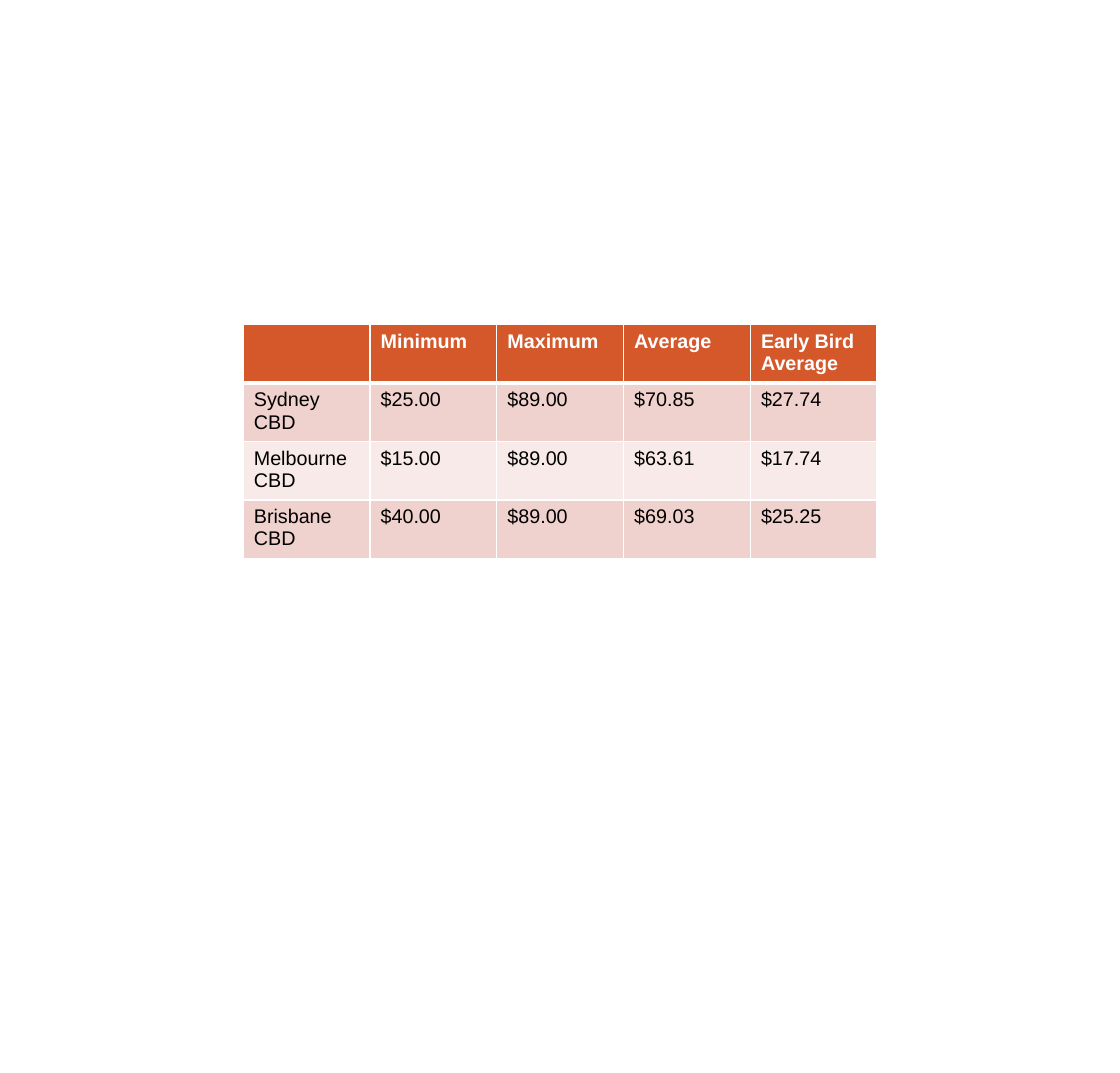
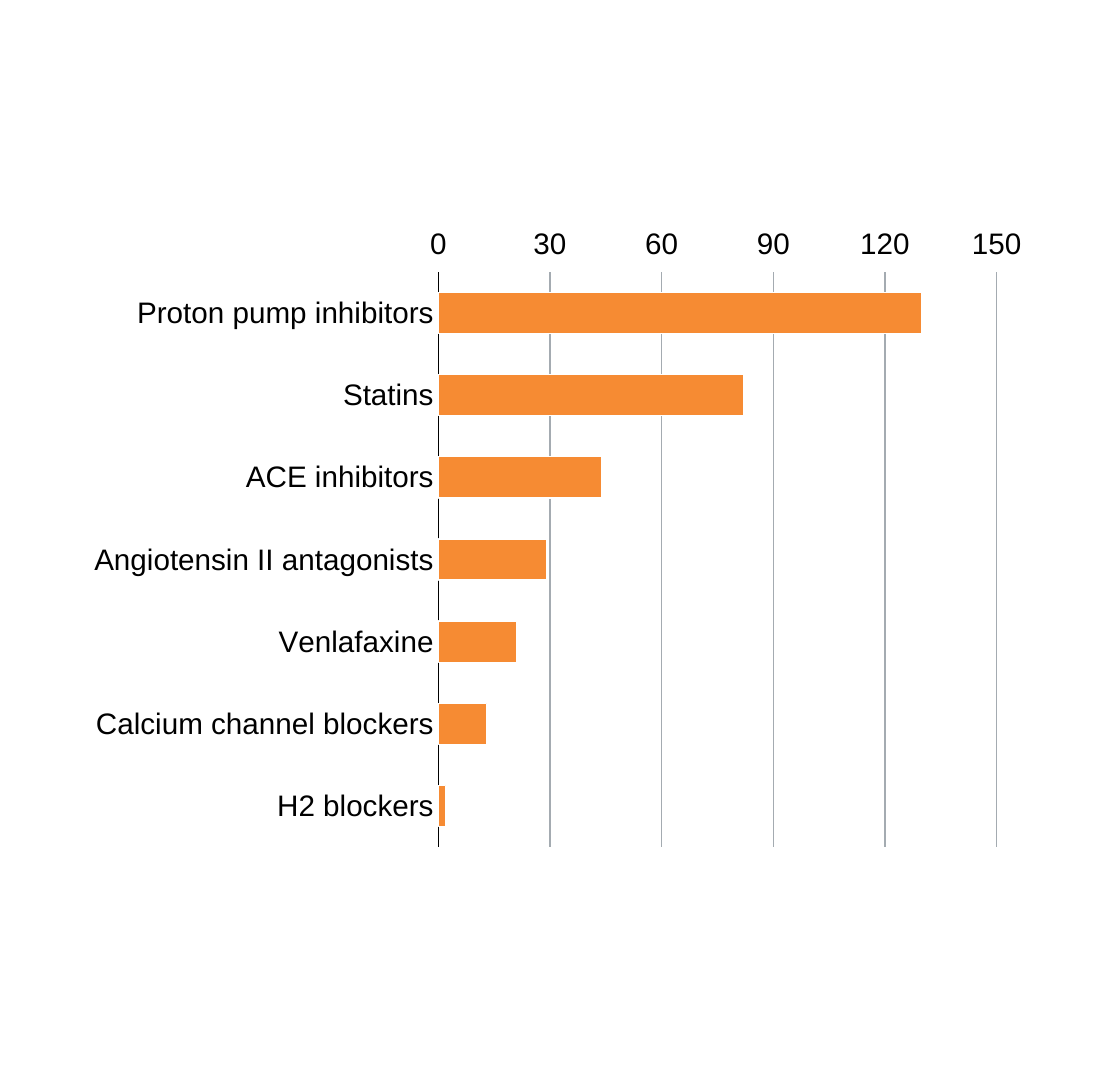
from dataclasses import dataclass

from lxml.etree import SubElement
from pptx import Presentation
from pptx.chart.data import CategoryChartData
from pptx.dml.color import RGBColor
from pptx.enum.chart import XL_CHART_TYPE, XL_TICK_MARK
from pptx.oxml import parse_xml
from pptx.oxml.ns import nsdecls, qn
from pptx.util import Pt

FONT = "Arial"
WHITE, BLACK = "FFFFFF", "000000"
HEADER, BAND_DARK, BAND_LIGHT = "D4582A", "EFD1CD", "F7EAE8"
BAR, GRID = "F68B33", "A4ABB1"


@dataclass(frozen=True)
class Box:
    left: float
    top: float
    width: float
    height: float

    def lengths(self) -> tuple:
        return Pt(self.left), Pt(self.top), Pt(self.width), Pt(self.height)


@dataclass(frozen=True)
class RowStyle:
    fill: str
    color: str = BLACK
    bold: bool = False
    top: float = 1
    bottom: float = 1


HEADER_STYLE = RowStyle(HEADER, WHITE, bold=True, bottom=3)
FIRST_STYLE = RowStyle(BAND_DARK, top=3)
LIGHT_STYLE = RowStyle(BAND_LIGHT)
DARK_STYLE = RowStyle(BAND_DARK)

PRICES = [
    (HEADER_STYLE, ["", "Minimum", "Maximum", "Average", "Early Bird Average"]),
    (FIRST_STYLE, ["Sydney CBD", "$25.00", "$89.00", "$70.85", "$27.74"]),
    (LIGHT_STYLE, ["Melbourne CBD", "$15.00", "$89.00", "$63.61", "$17.74"]),
    (DARK_STYLE, ["Brisbane\nCBD", "$40.00", "$89.00", "$69.03", "$25.25"]),
]

DRUGS = {
    "Proton pump inhibitors": 130,
    "Statins": 82,
    "ACE inhibitors": 44,
    "Angiotensin II antagonists": 29,
    "Venlafaxine": 21,
    "Calcium channel blockers": 13,
    "H2 blockers": 2,
}


def rgb(color: str) -> RGBColor:
    return RGBColor.from_string(color)


def format_font(font, *, size: float, color: str = BLACK, bold: bool = False) -> None:
    font.name = FONT
    font.size = Pt(size)
    font.bold = bold
    font.color.rgb = rgb(color)


def put_text(tf, text: str, **style) -> None:
    tf.text = text
    for p in tf.paragraphs:
        for r in p.runs:
            format_font(r.font, **style)


def format_line(line, color: str, width: float = 0.75) -> None:
    line.color.rgb = rgb(color)
    line.width = Pt(width)


def set_borders(cell, color: str, **widths: float) -> None:
    tc_pr = cell._tc.get_or_add_tcPr()
    for side, width in widths.items():
        ln = SubElement(tc_pr, qn(f"a:ln{side}"), w=str(Pt(width)))
        SubElement(SubElement(ln, qn("a:solidFill")), qn("a:srgbClr"), val=color)


def add_price_table(s, box: Box) -> None:
    count = len(PRICES[0][1])
    table = s.shapes.add_table(len(PRICES), count, *box.lengths()).table
    for column in table.columns:
        column.width = Pt(box.width / count)
    for row, (style, texts) in zip(table.rows, PRICES):
        row.height = Pt(box.height / len(PRICES))
        for cell, text in zip(row.cells, texts):
            cell.margin_left = cell.margin_right = Pt(6.5)
            cell.margin_top = cell.margin_bottom = Pt(3.6)
            set_borders(cell, WHITE, L=1, R=1, T=style.top, B=style.bottom)
            cell.fill.solid()
            cell.fill.fore_color.rgb = rgb(style.fill)
            put_text(cell.text_frame, text, size=12, color=style.color, bold=style.bold)


def set_plot_layout(chart, x: float, y: float, w: float, h: float) -> None:
    plot_area = chart._chartSpace.chart.plotArea
    for old in plot_area.findall(qn("c:layout")):
        plot_area.remove(old)
    plot_area.insert(0, parse_xml(
        f'<c:layout {nsdecls("c")}><c:manualLayout><c:layoutTarget val="inner"/>'
        '<c:xMode val="edge"/><c:yMode val="edge"/>'
        f'<c:x val="{x}"/><c:y val="{y}"/><c:w val="{w}"/><c:h val="{h}"/>'
        "</c:manualLayout></c:layout>"))


def add_drug_chart(s, box: Box) -> None:
    data = CategoryChartData()
    data.categories = list(DRUGS)
    data.add_series("Series 1", list(DRUGS.values()))
    chart = s.shapes.add_chart(XL_CHART_TYPE.BAR_STACKED, *box.lengths(), data).chart
    chart.has_legend = chart.has_title = False
    format_font(chart.font, size=18)
    set_plot_layout(chart, 0.376, 0.089, 0.578, 0.89)

    plot = chart.plots[0]
    plot.gap_width = plot.overlap = 100
    plot.vary_by_categories = False
    series = plot.series[0]
    series.format.fill.solid()
    series.format.fill.fore_color.rgb = rgb(BAR)
    format_line(series.format.line, WHITE)

    cat = chart.category_axis
    cat.reverse_order = True
    cat.has_major_gridlines = False
    cat.major_tick_mark = XL_TICK_MARK.NONE
    format_line(cat.format.line, BLACK)

    val = chart.value_axis
    val.minimum_scale, val.maximum_scale, val.major_unit = 0, 150, 30
    val.major_tick_mark = XL_TICK_MARK.OUTSIDE
    val.has_major_gridlines = True
    format_line(val.major_gridlines.format.line, GRID)
    val.format.line.fill.background()

    for axis in (cat, val):
        format_font(axis.tick_labels.font, size=18)


def main() -> None:
    prs = Presentation()
    prs.slide_width, prs.slide_height = Pt(680.35), Pt(652)
    blank = prs.slide_layouts[6]
    add_price_table(prs.slides.add_slide(blank), Box(147.7, 197.3, 385.2, 142))
    add_drug_chart(prs.slides.add_slide(blank), Box(45.6, 130.5, 586.8, 392.4))
    prs.save("out.pptx")


if __name__ == "__main__":
    main()
